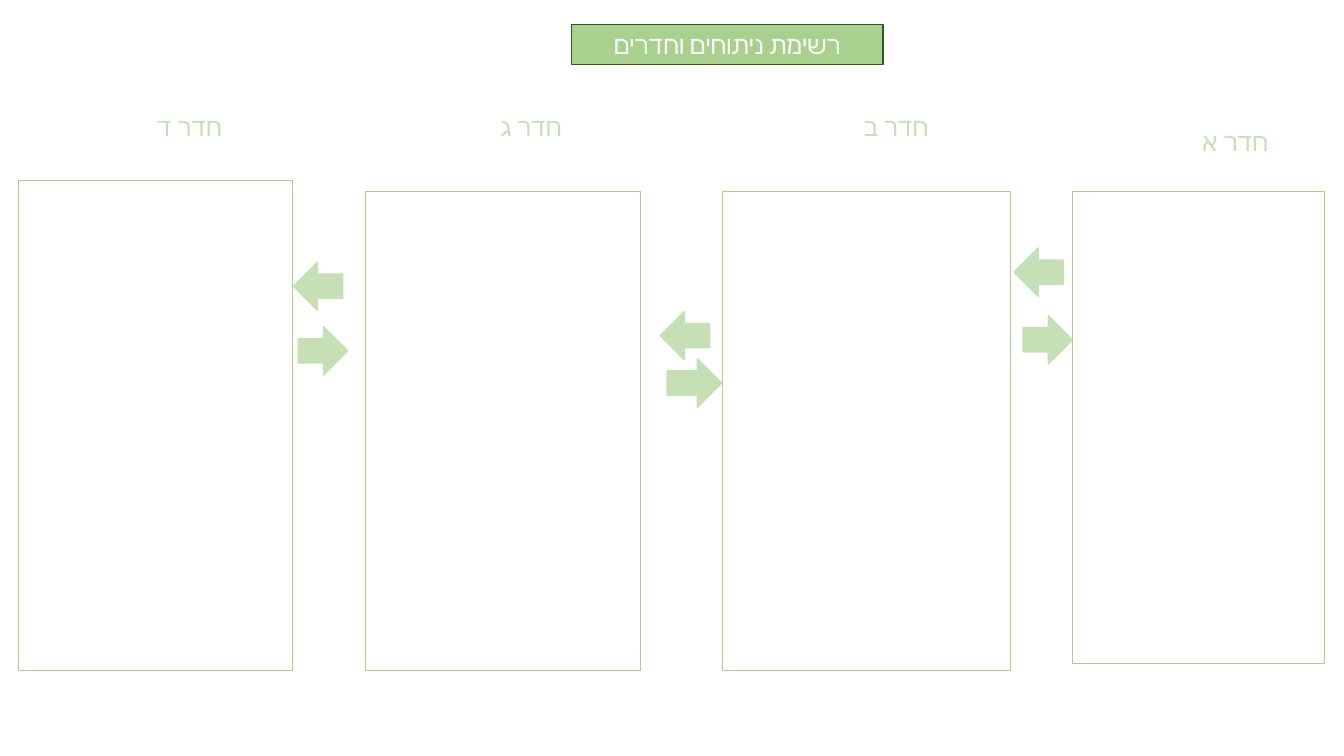
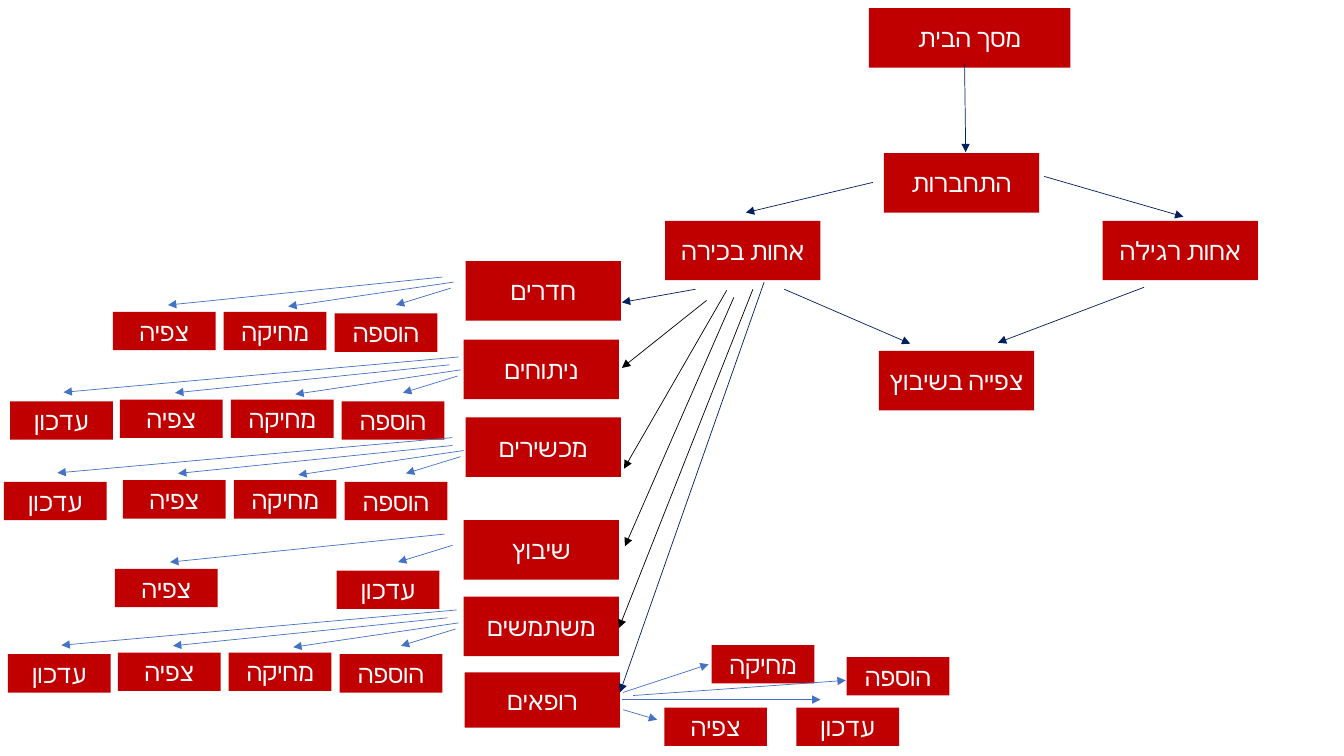
"""Build two slides: operating room boards and a screen flow chart."""
from lxml import etree
from pptx import Presentation
from pptx.dml.color import RGBColor
from pptx.enum import shapes, text
from pptx.oxml import ns
from pptx.util import Pt

COLORS = {
    "white": "FFFFFF", "pale": "C5E0B4", "green": "A9D18E", "forest": "385723",
    "red": "C00000", "navy": "002060", "black": "000000", "blue": "4472C4",
}
COLOR = {name: RGBColor.from_string(value) for name, value in COLORS.items()}
FONT = "Calibri"
KIND = shapes.MSO_SHAPE


def write(box, words, color="white", align=text.PP_ALIGN.CENTER,
          anchor=text.MSO_ANCHOR.MIDDLE, margin=3.6, size=18):
    """Put one right-to-left line of text into a box."""
    frame = box.text_frame
    frame.word_wrap = True
    frame.auto_size = text.MSO_AUTO_SIZE.NONE
    frame.vertical_anchor = anchor
    frame.margin_left = frame.margin_right = Pt(margin)
    frame.margin_top = frame.margin_bottom = Pt(3.6)
    para = frame.paragraphs[0]
    para.alignment = align
    para._p.get_or_add_pPr().set("rtl", "1")
    span = para.add_run()
    span.text = words
    span.font.size = Pt(size)
    span.font.name = FONT
    span.font.color.rgb = COLOR[color]
    complex_font = etree.SubElement(span._r.get_or_add_rPr(), ns.qn("a:cs"))
    complex_font.set("typeface", FONT)


def add_box(page, left, top, width, height, kind=KIND.RECTANGLE,
            fill=None, line=None, weight=1):
    """Add a shape with a plain fill and outline."""
    box = page.shapes.add_shape(kind, Pt(left), Pt(top), Pt(width), Pt(height))
    box.shadow.inherit = False
    if fill:
        box.fill.solid()
        box.fill.fore_color.rgb = COLOR[fill]
    else:
        box.fill.background()
    if line:
        box.line.color.rgb = COLOR[line]
        box.line.width = Pt(weight)
    else:
        box.line.fill.background()
    return box


deck = Presentation()
deck.slide_width, deck.slide_height = Pt(960), Pt(540)

rooms_page = deck.slides.add_slide(deck.slide_layouts[5])
title = rooms_page.shapes.title
title.left, title.top, title.width, title.height = Pt(408.2), Pt(17.3), Pt(222.5), Pt(28.8)
title.fill.solid()
title.fill.fore_color.rgb = COLOR["green"]
title.line.color.rgb = COLOR["forest"]
title.line.width = Pt(1)
write(title, "רשימת ניתוחים וחדרים")

room_labels = [
    ("חדר א", 766.1, 86.4),
    ("חדר ב", 523.4, 76.3),
    ("חדר ג", 261.4, 76.3),
    ("חדר ד", 18.7, 76.3),
]
for words, left, top in room_labels:
    label = rooms_page.shapes.add_textbox(Pt(left), Pt(top), Pt(146.9), Pt(28.8))
    write(label, words, color="pale", align=text.PP_ALIGN.RIGHT,
          anchor=text.MSO_ANCHOR.TOP, margin=7.2)

room_arrows = [
    (KIND.LEFT_ARROW, 471.6, 222.5, 35.3),
    (KIND.LEFT_ARROW, 724.3, 177.1, 35.3),
    (KIND.LEFT_ARROW, 209.5, 187.2, 35.3),
    (KIND.RIGHT_ARROW, 213.1, 233.3, 35.3),
    (KIND.RIGHT_ARROW, 476.6, 256.3, 38.9),
    (KIND.RIGHT_ARROW, 730.8, 225.4, 35.3),
]
for kind, left, top, width in room_arrows:
    add_box(rooms_page, left, top, width, 34.6, kind=kind, fill="pale", line="pale")

room_frames = [
    (766.1, 136.8, 180, 337),
    (516.2, 136.8, 205.9, 342),
    (261.4, 136.8, 195.8, 342),
    (13, 128.9, 195.8, 349.9),
]
for frame_place in room_frames:
    add_box(rooms_page, *frame_place, line="green", weight=0.75)

flow_page = deck.slides.add_slide(deck.slide_layouts[6])
SCREEN = (110.9, 42.5)
ACTION = (73.4, 27.4)
ADD, DELETE, VIEW, UPDATE = "הוספה", "מחיקה", "צפיה", "עדכון"

nodes = [
    ("מסך הבית", 620.6, 5.8, 144, 42.5),
    ("התחברות", 631.4, 109.4, *SCREEN),
    ("רופאים", 331.9, 480.2, 110.9, 39.6),
    ("אחות בכירה", 475.2, 157.7, *SCREEN),
    ("אחות רגילה", 787.7, 157.7, *SCREEN),
    ("מכשירים", 332.6, 298.1, *SCREEN),
    ("ניתוחים", 331.2, 242.6, *SCREEN),
    ("חדרים", 332.6, 186.5, *SCREEN),
    ("צפייה בשיבוץ", 627.8, 250.6, *SCREEN),
    ("משתמשים", 331.2, 426.2, *SCREEN),
    ("שיבוץ", 331.2, 371.5, *SCREEN),
    (ADD, 604.8, 469.4, *ACTION),
    (VIEW, 474.5, 505.4, *ACTION),
    (DELETE, 508.3, 460.8, *ACTION),
    (UPDATE, 568.8, 505.4, *ACTION),
]
links = [
    ("navy", 689, 45.4, 689.8, 108.7),
    ("navy", 623.5, 130.3, 532.8, 151.9),
    ("navy", 745.9, 126, 845.3, 154.8),
    ("navy", 560.2, 206.6, 650.2, 245.5),
    ("navy", 817.2, 205.2, 712.8, 244.8),
    ("navy", 496.8, 206.6, 444.2, 216),
    ("black", 504.7, 214.6, 444.2, 262.8),
    ("black", 519.1, 207.4, 445.7, 334.8),
    ("black", 524.2, 212.4, 446.4, 390.2),
    ("black", 537.8, 206.6, 442.1, 448.6),
    ("navy", 545.8, 201.6, 442.8, 494.6),
    ("blue", 445, 506.9, 469.4, 514.1),
    ("blue", 445, 494.6, 506.2, 474.5),
    ("blue", 444.2, 499.7, 586.1, 499.7),
    ("blue", 452.2, 496.8, 604.1, 486),
]

slots = [
    (0, 0, 82.8, -18, 43.8, -6),
    (-79.2, -1.2, 85, -22.4, -33.1, -5),
    (-158.4, -1.2, 77, -26, -119, -6),
    (-236.9, 0, 83.5, -31.6, -198.7, -6.4),
]
all_actions = [ADD, DELETE, VIEW, UPDATE]
action_rows = [
    (239, 223.9, 0, all_actions[:3]),
    (244.1, 286.6, 0, all_actions),
    (246.2, 344.2, -6.5, all_actions),
    (240.5, 407.5, 0, [UPDATE, None, VIEW]),
    (242.6, 467.3, 0, all_actions),
]
for row_left, row_top, last_shift, actions in action_rows:
    for slot, (action, offsets) in enumerate(zip(actions, slots)):
        if action is None:
            continue
        left, top, start_x, start_y, end_x, end_y = offsets
        x = row_left + (last_shift if slot == 3 else 0)
        nodes.append((action, x + left, row_top + top, *ACTION))
        links.append(("blue", x + start_x, row_top + start_y, x + end_x, row_top + end_y))

for words, *place in nodes:
    write(add_box(flow_page, *place, fill="red"), words)

for color, *ends in links:
    link = flow_page.shapes.add_connector(shapes.MSO_CONNECTOR.STRAIGHT, *map(Pt, ends))
    link.line.color.rgb = COLOR[color]
    link.line.width = Pt(0.5)
    head = etree.SubElement(link.line._get_or_add_ln(), ns.qn("a:tailEnd"))
    head.set("type", "triangle")
    etree.SubElement(link._element.spPr, ns.qn("a:effectLst"))

deck.save("out.pptx")
